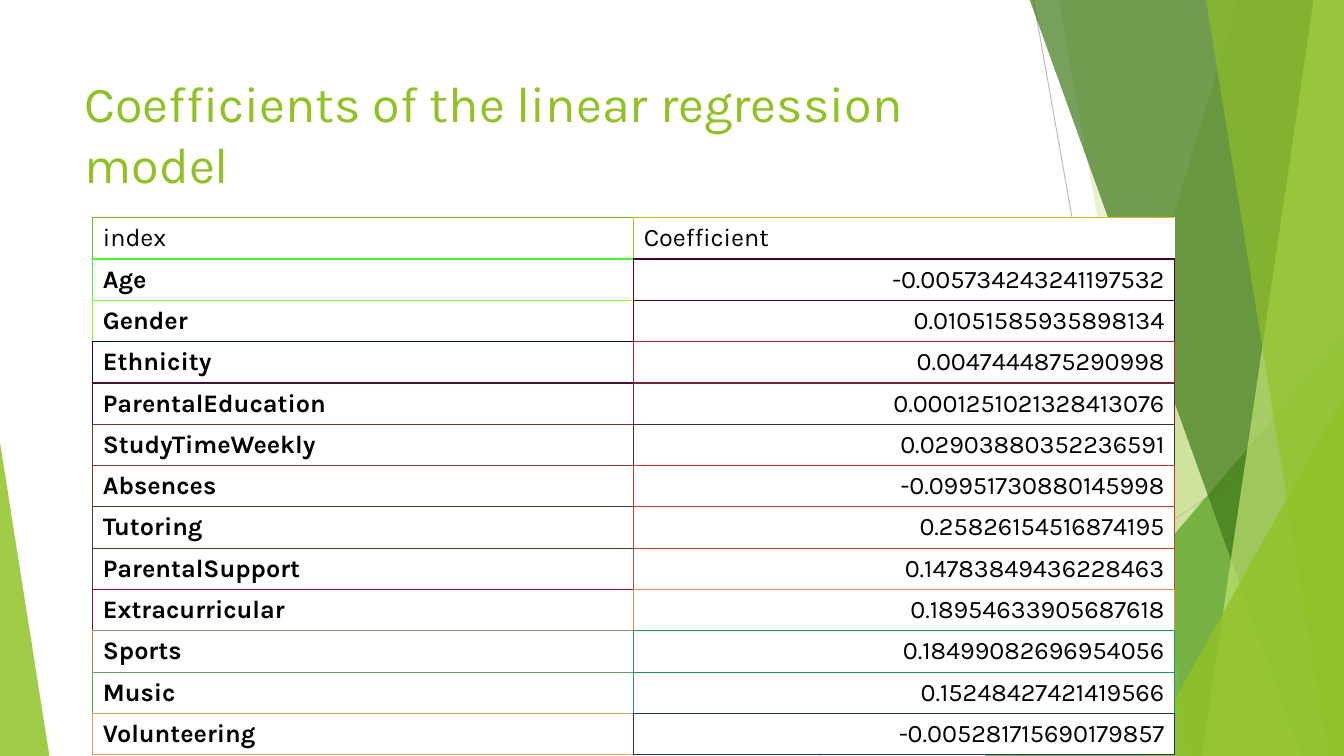
"""Build the slide listing the coefficients of the linear regression model."""
import dataclasses

import lxml.etree
import pptx
import pptx.dml.color
import pptx.enum.shapes
import pptx.enum.text
import pptx.oxml.ns
import pptx.util
from pptx.dml.color import RGBColor
from pptx.util import Inches

FONT = "Karla"
LIME = RGBColor(0x90, 0xC2, 0x26)
GREEN = RGBColor(0x54, 0xA0, 0x21)
FOREST = RGBColor(0x3F, 0x78, 0x19)
PALE = RGBColor(0xC0, 0xE4, 0x74)
SILVER = RGBColor(0xBF, 0xBF, 0xBF)
MIST = RGBColor(0xD9, 0xD9, 0xD9)
WHITE = RGBColor(0xFF, 0xFF, 0xFF)
BLACK = RGBColor(0, 0, 0)
WIDE, HIGH = 13.33, 7.5
ROW = 0.41


@dataclasses.dataclass
class Ray:
    start: tuple[float, float]
    end: tuple[float, float]
    color: RGBColor


@dataclasses.dataclass
class Band:
    top: float
    base: float
    color: RGBColor
    alpha: int


@dataclasses.dataclass
class Wedge:
    left: float
    top: float
    width: float
    tip: float
    color: RGBColor
    alpha: int


@dataclasses.dataclass
class Entry:
    name: str
    value: str
    edges: tuple[str, str]


DECOR = [
    Ray((10.25, 0), (11.58, HIGH), SILVER),
    Ray((WIDE, 4.03), (8.12, HIGH), MIST),
    Band(12.28, 10.04, LIME, 30),
    Band(10.5, 11.83, LIME, 20),
    Wedge(9.77, 3.33, 3.56, 1, GREEN, 72),
    Band(10.21, 12.91, FOREST, 70),
    Band(13.03, 11.92, PALE, 70),
    Band(11.96, 13.18, LIME, 65),
    Wedge(11.34, 3.93, 1.99, 1, LIME, 80),
    Wedge(0, 4.39, 0.49, 0, LIME, 85),
]
ENTRIES = [
    Entry("index", "Coefficient", ("70BF1C", "C0C41C")),
    Entry("Age", "-0.005734243241197532", ("40FC2D", "40042E")),
    Entry("Gender", "0.01051585935898134", ("80FF2D", "40042E")),
    Entry("Ethnicity", "0.0047444875290998", ("00152E", "C0172E")),
    Entry("ParentalEducation", "0.0001251021328413076", ("40152E", "801D2E")),
    Entry("StudyTimeWeekly", "0.02903880352236591", ("80342E", "40312E")),
    Entry("Absences", "-0.09951730880145998", ("803A2E", "C0352E")),
    Entry("Tutoring", "0.25826154516874195", ("40432E", "C0412E")),
    Entry("ParentalSupport", "0.14783849436228463", ("40422E", "C04C2E")),
    Entry("Extracurricular", "0.18954633905687618", ("80162E", "E0875E")),
    Entry("Sports", "0.18499082696954056", ("A0805E", "209A5E")),
    Entry("Music", "0.15248427421419566", ("609D5E", "20965E")),
    Entry("Volunteering", "-0.005281715690179857", ("E09D5E", "20375E")),
]


def add_tag(parent, tag: str, **attrs: str):
    return lxml.etree.SubElement(parent, pptx.oxml.ns.qn(tag), attrs)


def paint(shape, color: RGBColor, alpha: int) -> None:
    shape.shadow.inherit = False
    shape.line.fill.background()
    shape.fill.solid()
    shape.fill.fore_color.rgb = color
    tint = next(shape._element.spPr.iter(pptx.oxml.ns.qn("a:srgbClr")))
    add_tag(tint, "a:alpha", val=str(alpha * 1000))


def draw_ray(slide, ray: Ray) -> None:
    ends = [Inches(n) for n in ray.start + ray.end]
    line = slide.shapes.add_connector(pptx.enum.shapes.MSO_CONNECTOR.STRAIGHT, *ends)
    line.line.color.rgb = ray.color
    line.line.width = pptx.util.Pt(0.75)
    add_tag(line._element.spPr, "a:effectLst")


def draw_band(slide, band: Band) -> None:
    form = slide.shapes.build_freeform(Inches(band.top), Inches(-0.01))
    points = [(WIDE, -0.01), (WIDE, HIGH), (band.base, HIGH)]
    form.add_line_segments([(Inches(x), Inches(y)) for x, y in points])
    paint(form.convert_to_shape(), band.color, band.alpha)


def draw_wedge(slide, wedge: Wedge) -> None:
    shape = slide.shapes.add_shape(
        pptx.enum.shapes.MSO_SHAPE.ISOSCELES_TRIANGLE, Inches(wedge.left),
        Inches(wedge.top), Inches(wedge.width), Inches(HIGH - wedge.top))
    shape.adjustments[0] = wedge.tip
    paint(shape, wedge.color, wedge.alpha)


def style(para, size: int, color: RGBColor, bold: bool = False) -> None:
    para.font.name = FONT
    para.font.size = pptx.util.Pt(size)
    para.font.color.rgb = color
    para.font.bold = bold


def draw_title(slide, text: str) -> None:
    box = slide.shapes.add_textbox(Inches(0.74), Inches(0.67), Inches(9.4), Inches(1.44))
    box.text_frame.word_wrap = True
    box.text_frame.text = text
    style(box.text_frame.paragraphs[0], 36, LIME)


def add_edge(cell, side: str, color: str, width: float) -> None:
    line = add_tag(cell._tc.get_or_add_tcPr(), f"a:ln{side}", w=str(pptx.util.Pt(width)))
    add_tag(add_tag(line, "a:solidFill"), "a:srgbClr", val=color)


def frame_cell(cell, row: int, col: int) -> None:
    own = ENTRIES[row].edges[col]
    last = row == len(ENTRIES) - 1
    add_edge(cell, "L", own, 1)
    if col == 0:
        add_edge(cell, "R", ENTRIES[row].edges[1], 1)
    elif row > 0:
        add_edge(cell, "R", own, 0.75)
    add_edge(cell, "T", own, 1)
    below = own if last else ENTRIES[row + 1].edges[col]
    add_edge(cell, "B", below, 0.75 if last else 1)


def fill_cell(cell, text: str, row: int, col: int) -> None:
    frame_cell(cell, row, col)
    cell.fill.solid()
    cell.fill.fore_color.rgb = WHITE
    cell.margin_left = cell.margin_right = Inches(0.1)
    cell.margin_top = cell.margin_bottom = Inches(0.02)
    cell.vertical_anchor = pptx.enum.text.MSO_ANCHOR.MIDDLE
    cell.text = text
    para = cell.text_frame.paragraphs[0]
    style(para, 18, BLACK, row > 0 and col == 0)
    if row > 0 and col == 1:
        para.alignment = pptx.enum.text.PP_ALIGN.RIGHT


def draw_table(slide) -> None:
    count = len(ENTRIES)
    table = slide.shapes.add_table(
        count, 2, Inches(0.92), Inches(2.16), Inches(10.73), Inches(ROW * count)).table
    table.first_row = table.horz_banding = False
    for row, entry in enumerate(ENTRIES):
        table.rows[row].height = Inches(ROW)
        for col, text in enumerate((entry.name, entry.value)):
            fill_cell(table.cell(row, col), text, row, col)


def main() -> None:
    deck = pptx.Presentation()
    deck.slide_width, deck.slide_height = Inches(WIDE), Inches(HIGH)
    slide = deck.slides.add_slide(deck.slide_layouts[6])
    tools = {Ray: draw_ray, Band: draw_band, Wedge: draw_wedge}
    for part in DECOR:
        tools[type(part)](slide, part)
    draw_title(slide, "Coefficients of the linear regression model")
    draw_table(slide)
    deck.save("out.pptx")


if __name__ == "__main__":
    main()
